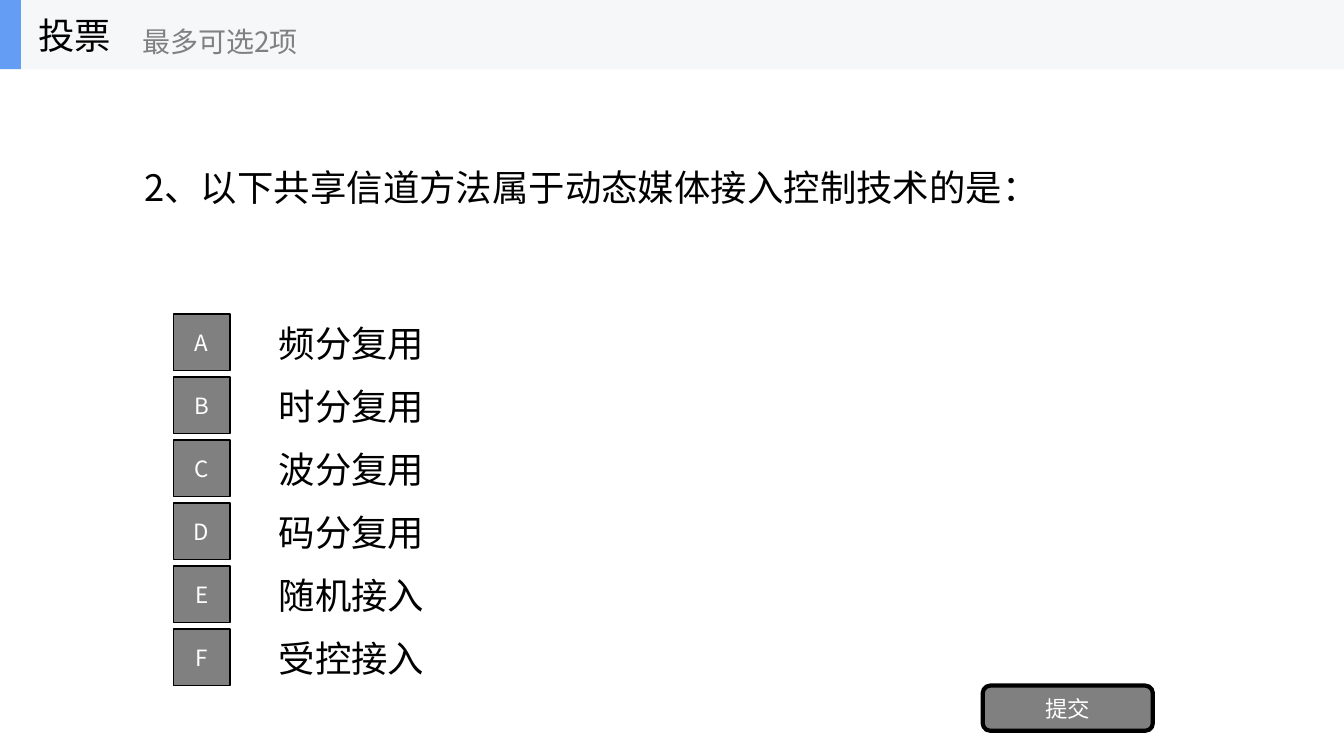
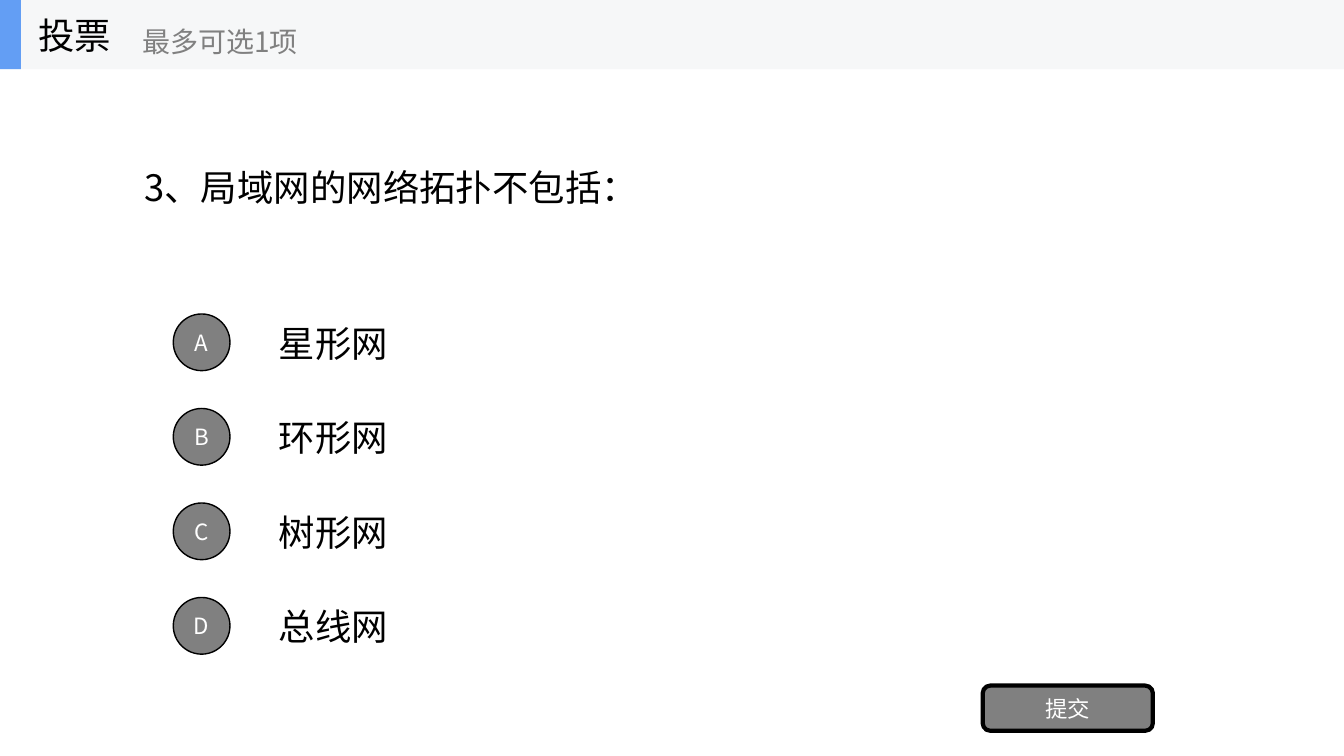
from lxml.etree import SubElement
from pptx import Presentation
from pptx.dml.color import RGBColor
from pptx.enum.shapes import MSO_SHAPE as SHAPE
from pptx.enum.text import MSO_ANCHOR as ANCHOR, PP_ALIGN as ALIGN
from pptx.oxml.ns import qn
from pptx.util import Emu, Pt

FONT = "Noto Sans CJK SC"
BLACK, GREY, WHITE = "000000", "808080", "FFFFFF"
BAND, ACCENT = "F6F7F8", "639EF4"
PAGE_WIDTH, PAGE_HEIGHT, BAND_HEIGHT = 1280, 720, 66
OPTIONS_TOP, OPTION_HEIGHT, MARK_SIZE = 293, 67, 54


def px(length):
    """Turn px into EMU."""
    return Emu(length * 9525)


def rgb(color):
    """Turn a hex string into a colour."""
    return RGBColor.from_string(color)


def write(box, text, size=26, color=BLACK, align=ALIGN.LEFT):
    """Put one line of formatted text into a box, centred vertically."""
    frame = box.text_frame
    frame.word_wrap = True
    frame.vertical_anchor = ANCHOR.MIDDLE
    para = frame.paragraphs[0]
    para.alignment = align
    span = para.add_run()
    span.text = text
    span.font.size = Pt(size)
    span.font.color.rgb = rgb(color)
    span.font.name = FONT
    SubElement(span.font._element, qn("a:ea"), typeface=FONT)


def add_text(shapes, text, left, top, width, height, **style):
    """Add a text box."""
    box = shapes.add_textbox(px(left), px(top), px(width), px(height))
    write(box, text, **style)


def add_block(shapes, kind, left, top, width, height, fill, outline=0):
    """Add a filled shape, with a black outline if a width is given."""
    block = shapes.add_shape(kind, px(left), px(top), px(width), px(height))
    block.shadow.inherit = False
    block.fill.solid()
    block.fill.fore_color.rgb = rgb(fill)
    if outline:
        block.line.color.rgb = rgb(BLACK)
        block.line.width = Pt(outline)
    else:
        block.line.fill.background()
    return block


def add_button(shapes, text, kind, left, top, width, height, outline=1):
    """Add a grey shape with a centred white label."""
    button = add_block(shapes, kind, left, top, width, height, GREY, outline)
    write(button, text, size=16, color=WHITE, align=ALIGN.CENTER)


def add_header(page, limit):
    """Add the grouped title band with the number of allowed choices."""
    shapes = page.shapes.add_group_shape().shapes
    add_block(shapes, SHAPE.RECTANGLE, 0, 0, PAGE_WIDTH, BAND_HEIGHT, BAND)
    add_block(shapes, SHAPE.RECTANGLE, 0, 0, 20, BAND_HEIGHT, ACCENT)
    add_text(shapes, "投票", 27, 0, 200, BAND_HEIGHT)
    add_text(shapes, f"最多可选{limit}项", 126, 12, 240, 54, size=20, color=GREY)


def add_options(page, options, kind, pitch):
    """Add the lettered options, one every pitch px."""
    inset = (OPTION_HEIGHT - MARK_SIZE) // 2
    for row, (letter, option) in enumerate(zip("ABCDEF", options)):
        top = OPTIONS_TOP + row * pitch
        add_text(page.shapes, option, 256, top, 896, OPTION_HEIGHT)
        add_button(page.shapes, letter, kind, 165, top + inset, MARK_SIZE, MARK_SIZE)


def add_poll(deck, question, options, limit, kind, pitch):
    """Add a page that polls one question."""
    page = deck.slides.add_slide(deck.slide_layouts[6])
    add_text(page.shapes, question, 128, BAND_HEIGHT, 1024, 225)
    add_options(page, options, kind, pitch)
    add_button(page.shapes, "提交", SHAPE.ROUNDED_RECTANGLE, 936, 653, 162, 43, outline=3)
    add_header(page, limit)


def main():
    """Build and save the deck."""
    deck = Presentation()
    deck.slide_width, deck.slide_height = px(PAGE_WIDTH), px(PAGE_HEIGHT)
    add_poll(
        deck,
        "2、以下共享信道方法属于动态媒体接入控制技术的是：",
        ["频分复用", "时分复用", "波分复用", "码分复用", "随机接入", "受控接入"],
        limit=2, kind=SHAPE.RECTANGLE, pitch=60,
    )
    add_poll(
        deck,
        "3、局域网的网络拓扑不包括：",
        ["星形网", "环形网", "树形网", "总线网"],
        limit=1, kind=SHAPE.OVAL, pitch=90,
    )
    deck.save("out.pptx")


if __name__ == "__main__":
    main()
